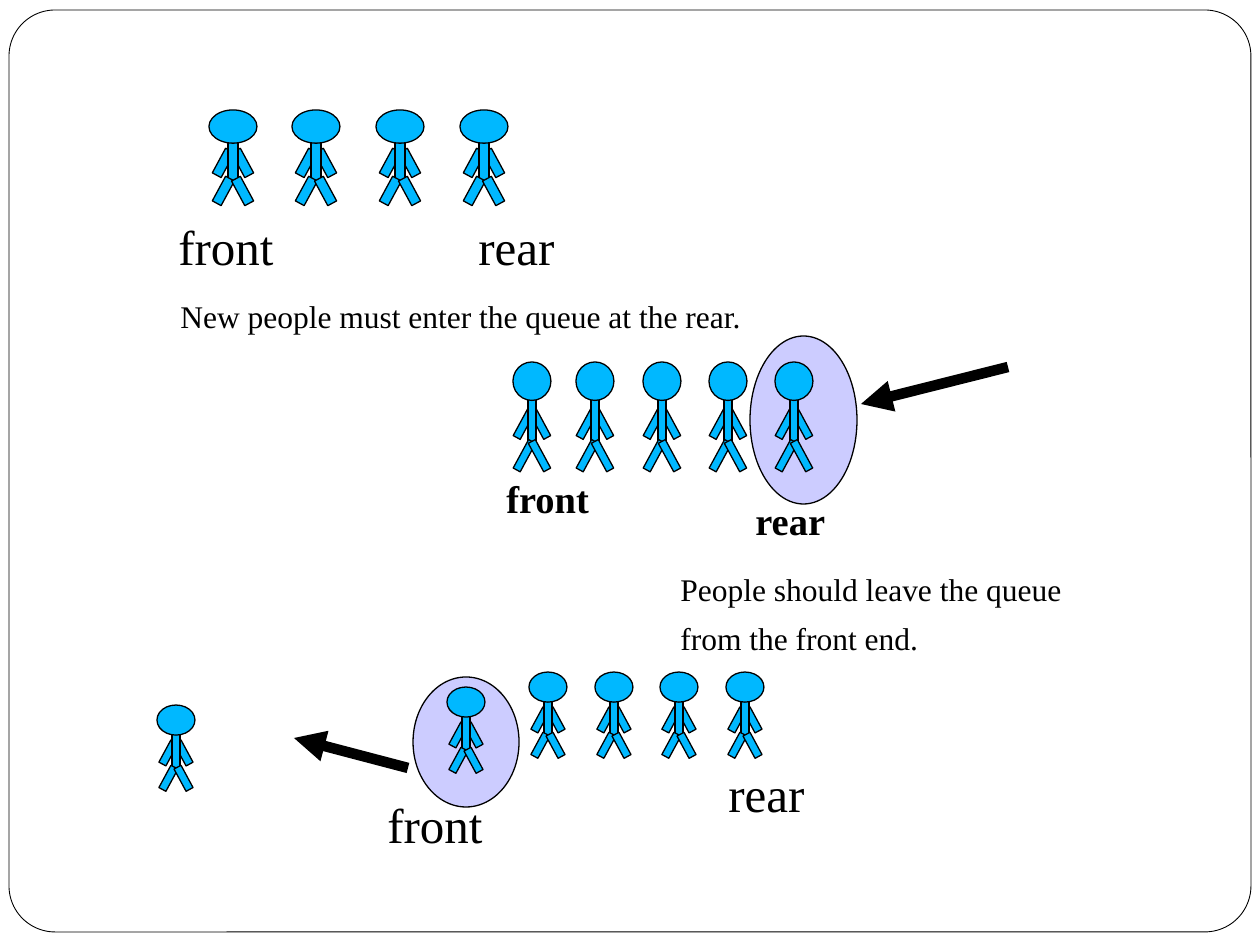
import pptx
import pptx.dml.color
import pptx.enum.shapes
import pptx.enum.text
import pptx.util
from lxml import etree
from pptx.oxml.ns import qn

EMU_PER_PX = 914400 / 126
BLACK = pptx.dml.color.RGBColor(0x00, 0x00, 0x00)
BODY_BLUE = pptx.dml.color.RGBColor(0x00, 0xB8, 0xFF)
HIGHLIGHT = pptx.dml.color.RGBColor(0xCC, 0xCC, 0xFF)
FONT = "Times New Roman"
LIMB_ANGLE = 28.4
KIND = pptx.enum.shapes.MSO_SHAPE


def px(length):
    return pptx.util.Emu(round(length * EMU_PER_PX))


def add_figure(slide, kind, left, top, width, height, fill=None, line_width=0.75):
    shape = slide.shapes.add_shape(kind, px(left), px(top), px(width), px(height))
    shape.shadow.inherit = False
    if fill is None:
        shape.fill.background()
    else:
        shape.fill.solid()
        shape.fill.fore_color.rgb = fill
    shape.line.color.rgb = BLACK
    shape.line.width = pptx.util.Pt(line_width)
    return shape


def add_limbs(slide, center, top, width, height, spread):
    for side in (-1, 1):
        left = center + side * spread - width / 2
        limb = add_figure(slide, KIND.RECTANGLE, left, top, width, height, BODY_BLUE)
        limb.rotation = -side * LIMB_ANGLE % 360


def add_person(slide, left, top, width, height):
    center = left + width / 2
    limb_width, limb_height, spread = 0.21 * width, 0.295 * height, 0.2 * width
    add_limbs(slide, center, top + 0.41 * height, limb_width, limb_height, spread)
    add_figure(slide, KIND.RECTANGLE, center - limb_width / 2, top + 0.295 * height,
               limb_width, 0.47 * height, BODY_BLUE)
    add_figure(slide, KIND.OVAL, left, top, width, 0.35 * height, BODY_BLUE)
    add_limbs(slide, center, top + 0.705 * height, limb_width, limb_height, spread)


def add_queue(slide, lefts, top, width, height):
    for left in lefts:
        add_person(slide, left, top, width, height)


def add_text(slide, left, top, width, height, lines, size, bold=False, wrap=True):
    box = slide.shapes.add_textbox(px(left), px(top), px(width), px(height))
    frame = box.text_frame
    frame.word_wrap = wrap
    frame.vertical_anchor = pptx.enum.text.MSO_ANCHOR.TOP
    for index, line in enumerate(lines):
        paragraph = frame.add_paragraph() if index else frame.paragraphs[0]
        paragraph.line_spacing = 0.95
        if index:
            paragraph.space_before = pptx.util.Pt(7)
        run = paragraph.add_run()
        run.text = line
        run.font.name = FONT
        run.font.size = pptx.util.Pt(size)
        run.font.bold = bold
        run.font.color.rgb = BLACK


def add_label(slide, left, top, width, height, word, size, bold=False):
    add_text(slide, left, top, width, height, [word], size, bold, wrap=False)


def add_arrow(slide, start, end):
    arrow = slide.shapes.add_connector(
        pptx.enum.shapes.MSO_CONNECTOR.STRAIGHT, *map(px, start + end))
    arrow.line.color.rgb = BLACK
    arrow.line.width = pptx.util.Pt(6)
    properties = arrow.element.spPr
    etree.SubElement(properties.find(qn("a:ln")), qn("a:tailEnd"), type="triangle")
    etree.SubElement(properties, qn("a:effectLst"))


def add_waiting_queue(slide):
    add_queue(slide, (209, 292, 376, 460), 110, 48, 95)
    add_label(slide, 466, 215, 101, 68, "rear", 28)
    add_label(slide, 166, 215, 120, 68, "front", 28)


def add_entering_queue(slide):
    add_text(slide, 168, 294, 588, 63,
             ["New people must enter the queue at the rear."], 18)
    add_label(slide, 743, 494, 120, 57, "rear", 22, bold=True)
    add_label(slide, 494, 472, 108, 57, "front", 22, bold=True)
    add_figure(slide, KIND.OVAL, 750, 336, 107, 168, HIGHLIGHT)
    add_queue(slide, (513, 576, 643, 709, 775), 362, 38, 110)
    add_arrow(slide, (1008, 367), (861, 404))


def add_leaving_queue(slide):
    add_text(slide, 668, 567, 466, 105,
             ["People should leave the queue", "from the front end."], 18)
    add_figure(slide, KIND.OVAL, 413, 677, 106, 130, HIGHLIGHT)
    add_queue(slide, (529, 595, 660, 726), 672, 38, 86)
    add_person(slide, 447, 687, 38, 86)
    add_arrow(slide, (408, 768), (294, 738))
    add_label(slide, 716, 762, 101, 68, "rear", 28)
    add_label(slide, 375, 793, 120, 68, "front", 28)
    add_person(slide, 157, 705, 38, 86)


def main():
    presentation = pptx.Presentation()
    presentation.slide_width = px(1260)
    presentation.slide_height = px(945)
    slide = presentation.slides.add_slide(presentation.slide_layouts[6])
    border = add_figure(slide, KIND.ROUNDED_RECTANGLE, 9, 10, 1242, 922, line_width=0.5)
    border.adjustments[0] = 0.05
    add_waiting_queue(slide)
    add_entering_queue(slide)
    add_leaving_queue(slide)
    presentation.save("out.pptx")


if __name__ == "__main__":
    main()
